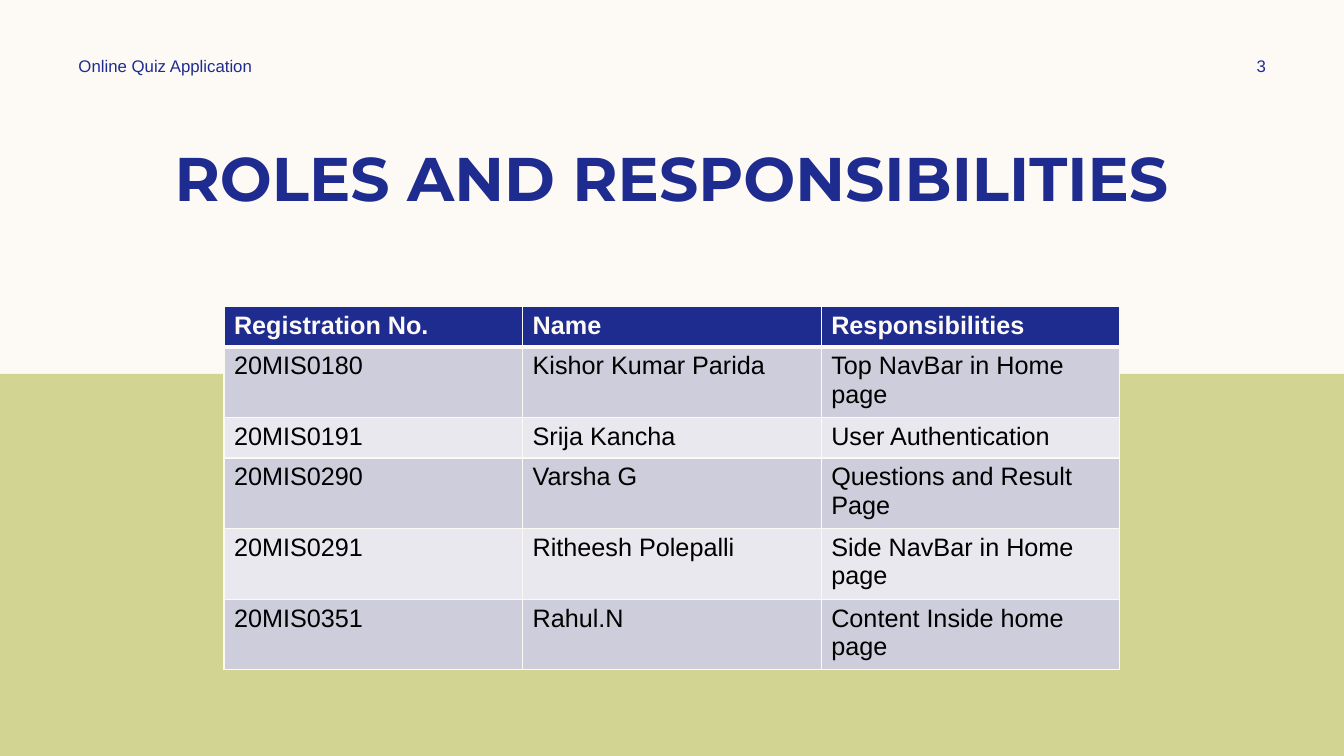
from lxml.etree import SubElement
from pptx import Presentation
from pptx.dml.color import RGBColor
from pptx.enum.shapes import MSO_SHAPE
from pptx.enum.text import MSO_ANCHOR, PP_ALIGN
from pptx.oxml.ns import qn
from pptx.util import Pt

TITLE = "ROLES AND RESPONSIBILITIES"
HEADER = "Online Quiz Application"
PAGE = "3"
ROWS = [
    ("Registration No.", "Name", "Responsibilities"),
    ("20MIS0180", "Kishor Kumar Parida", "Top NavBar in Home page"),
    ("20MIS0191", "Srija Kancha", "User Authentication"),
    ("20MIS0290", "Varsha G", "Questions and Result Page"),
    ("20MIS0291", "Ritheesh Polepalli", "Side NavBar in Home page"),
    ("20MIS0351", "Rahul.N", "Content Inside home page"),
]

THEME = {
    "cream": "FDFAF6", "navy": "1F2C8F", "green": "D2D592", "black": "000000",
    "bands": ("CDCDDB", "E8E8EE"),
    "heading": "Montserrat", "body": "Arial",
    "title_size": 44, "table_size": 18, "small_size": 12,
}
W, H = 960, 540
BAND_TOP = 267
TABLE_X, TABLE_Y, TABLE_W, TABLE_H = 160, 219, 640, 260
ROW_H = 28.8


def paint(fill, color):
    fill.solid()
    fill.fore_color.rgb = RGBColor.from_string(color)


def style(p, font, size, color, bold=False):
    p.font.name, p.font.size, p.font.bold = font, Pt(size), bold
    p.font.color.rgb = RGBColor.from_string(color)


def add_text(s, text, box, font, size, bold=False, align=PP_ALIGN.LEFT):
    tf = s.shapes.add_textbox(*map(Pt, box)).text_frame
    tf.word_wrap = True
    tf.vertical_anchor = MSO_ANCHOR.MIDDLE
    p = tf.paragraphs[0]
    p.text, p.alignment = text, align
    style(p, font, size, THEME["navy"], bold)


def add_borders(cell, bottom):
    """Draw cream lines round the cell, before its fill as the schema asks."""
    tc_pr = cell._tc.get_or_add_tcPr()
    for side, width in (("L", 1), ("R", 1), ("T", 1), ("B", bottom)):
        ln = SubElement(tc_pr, qn(f"a:ln{side}"), w=str(Pt(width)))
        SubElement(SubElement(ln, qn("a:solidFill")), qn("a:srgbClr"), val=THEME["cream"])


def add_roles(s):
    frame = s.shapes.add_table(len(ROWS), len(ROWS[0]),
                               *map(Pt, (TABLE_X, TABLE_Y, TABLE_W, TABLE_H)))
    table = frame.table
    for i, row in enumerate(ROWS):
        table.rows[i].height = Pt(ROW_H)
        head = i == 0
        fill = THEME["navy"] if head else THEME["bands"][(i - 1) % 2]
        color = THEME["cream"] if head else THEME["black"]
        for j, text in enumerate(row):
            cell = table.cell(i, j)
            cell.text = text
            add_borders(cell, 3 if head else 1)
            paint(cell.fill, fill)
            style(cell.text_frame.paragraphs[0], THEME["body"],
                  THEME["table_size"], color, head)
    frame.height = Pt(TABLE_H)


def main():
    prs = Presentation()
    prs.slide_width, prs.slide_height = Pt(W), Pt(H)
    s = prs.slides.add_slide(prs.slide_layouts[6])
    paint(s.background.fill, THEME["cream"])

    band = s.shapes.add_shape(MSO_SHAPE.RECTANGLE, 0, Pt(BAND_TOP), Pt(W), Pt(H - BAND_TOP))
    band.shadow.inherit = False
    paint(band.fill, THEME["green"])
    band.line.fill.background()

    add_text(s, TITLE, (60, 96, 840, 60), THEME["heading"], THEME["title_size"],
             True, PP_ALIGN.CENTER)
    add_text(s, HEADER, (49, 36, 252, 22), THEME["body"], THEME["small_size"])
    add_text(s, PAGE, (862, 36, 78, 22), THEME["body"], THEME["small_size"],
             align=PP_ALIGN.CENTER)
    add_roles(s)
    prs.save("out.pptx")


if __name__ == "__main__":
    main()
